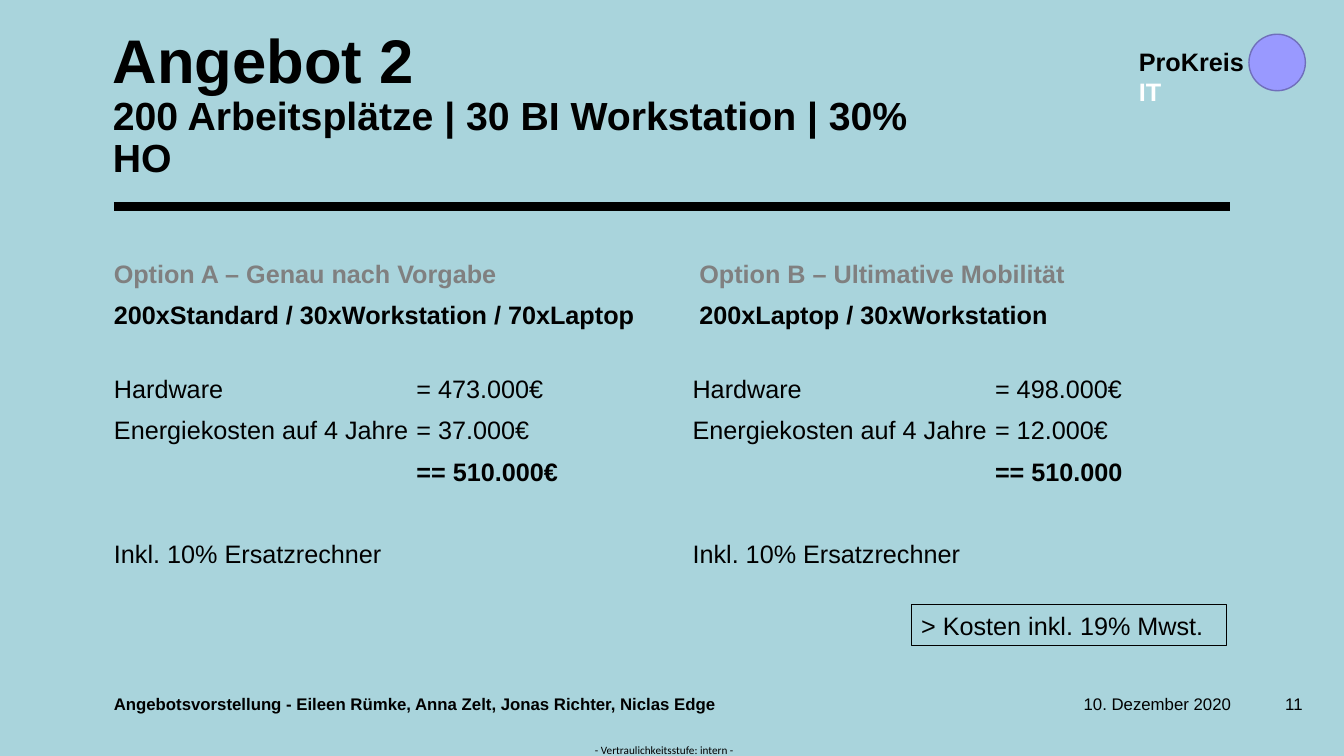
"""Builds the slide that compares two options of an offer."""
from lxml.etree import SubElement
from pptx import Presentation
from pptx.dml.color import RGBColor
from pptx.enum.shapes import MSO_CONNECTOR, MSO_SHAPE
from pptx.enum.text import MSO_ANCHOR as Anchor, PP_ALIGN as Align
from pptx.oxml.ns import qn
from pptx.util import Inches, Pt

WIDTH, HEIGHT = Inches(13.33), Inches(7.5)
BLACK, GREY, WHITE = "000000", "808080", "FFFFFF"
FOOTER_ROW, FOOTER_HEIGHT = 91.73, 2.67
OPTIONS = [
    (7.73, 8.48, "Option A – Genau nach Vorgabe",
     "200xStandard / 30xWorkstation / 70xLaptop", "473.000€", "37.000€", "510.000€"),
    (51.3, 51.53, "Option B – Ultimative Mobilität",
     "200xLaptop / 30xWorkstation", "498.000€", "12.000€", "510.000"),
]


def color(value):
    """Return the colour of a hex string."""
    return RGBColor.from_string(value)


def across(share):
    """Return a percentage of the slide's width."""
    return round(WIDTH * share / 100)


def down(share):
    """Return a percentage of the slide's height."""
    return round(HEIGHT * share / 100)


def area(left, top, width, height):
    """Return a rectangle given in percent of the slide."""
    return across(left), down(top), across(width), down(height)


def set_font(font, size, value=BLACK, bold=False, name="Arial"):
    """Set the look of a font."""
    font.name, font.size, font.bold = name, Pt(size), bold
    font.color.rgb = color(value)


def set_frame(frame, margins=(0.1, 0.05), anchor=Anchor.TOP):
    """Set wrapping, insets and anchor of a text frame."""
    frame.word_wrap = True
    frame.vertical_anchor = anchor
    frame.margin_left = frame.margin_right = Inches(margins[0])
    frame.margin_top = frame.margin_bottom = Inches(margins[1])
    return frame


def add_frame(slide, place, **settings):
    """Add a text box and return its frame."""
    return set_frame(slide.shapes.add_textbox(*area(*place)).text_frame, **settings)


def write(paragraph, text, size, align=Align.LEFT, **look):
    """Fill a paragraph that has one look."""
    paragraph.text = text
    paragraph.alignment = align
    set_font(paragraph.font, size, **look)


def write_broken(paragraph, lines):
    """Fill a bold paragraph with lines of differing size and colour."""
    for index, (text, size, value) in enumerate(lines):
        if index:
            paragraph.add_line_break()
        run = paragraph.add_run()
        run.text = text
        set_font(run.font, size, value, bold=True)


def add_list(slide, place, rows, **settings):
    """Add a text box of rows, each with text, colour, weight and space before."""
    frame = add_frame(slide, place, **settings)
    for index, (text, value, bold, space) in enumerate(rows):
        paragraph = frame.paragraphs[0] if index == 0 else frame.add_paragraph()
        write(paragraph, text, 18, value=value, bold=bold)
        paragraph.line_spacing = 0.9
        paragraph.space_before = Pt(space)
    return frame


def add_tab_stop(paragraph, position):
    """Add a left tab stop to a paragraph."""
    properties = paragraph._p.get_or_add_pPr()
    tabs = SubElement(properties, qn("a:tabLst"))
    SubElement(tabs, qn("a:tab"), pos=str(position), algn="l")
    properties.insert_element_before(tabs, "a:defRPr", "a:extLst")


def add_option(slide, heading_left, costs_left, heading, scope, hardware, energy, total):
    """Add the heading and the costs of one option."""
    add_list(slide, (heading_left, 34, 40.73, 9.47),
             [(heading, GREY, True, 0), (scope, BLACK, True, 10)])
    frame = add_list(slide, (costs_left, 49.87, 39.9, 27.4), [
        (f"Hardware\t= {hardware}", BLACK, False, 0),
        (f"Energiekosten auf 4 Jahre\t= {energy}", BLACK, False, 10),
        (f"\t== {total}", BLACK, True, 10),
        ("Inkl. 10% Ersatzrechner", BLACK, False, 39.5),
    ], margins=(0, 0))
    for paragraph in frame.paragraphs[:3]:
        add_tab_stop(paragraph, Inches(3))


def add_rule(slide, left, right, row):
    """Add the thick line under the title."""
    line = slide.shapes.add_connector(
        MSO_CONNECTOR.STRAIGHT, across(left), down(row), across(right), down(row))
    line.line.color.rgb = color(BLACK)
    line.line.width = Pt(6)
    SubElement(line._element.spPr, qn("a:effectLst"))


def add_outlined(slide, kind, place, outline, width, fill=None):
    """Add a preset shape with an outline."""
    shape = slide.shapes.add_shape(kind, *area(*place))
    shape.shadow.inherit = False
    shape.line.color.rgb = color(outline)
    shape.line.width = Pt(width)
    if fill:
        shape.fill.solid()
        shape.fill.fore_color.rgb = color(fill)
    else:
        shape.fill.background()
    return shape


def add_title(slide):
    """Add the title and its rule."""
    add_rule(slide, 8.48, 91.5, 27.33)
    frame = add_frame(slide, (8.4, 14.53, 64.05, 9.47),
                      margins=(0, 0), anchor=Anchor.BOTTOM)
    write_broken(frame.paragraphs[0], [
        ("Angebot 2", 44, BLACK),
        ("200 Arbeitsplätze | 30 BI Workstation | 30% HO", 28, BLACK)])
    frame.paragraphs[0].line_spacing = 0.9


def add_sender(slide):
    """Add the circle and the name beside it."""
    add_outlined(slide, MSO_SHAPE.OVAL, (92.93, 4.53, 4.2, 7.47), "706FBB", 1, "9999FF")
    frame = add_frame(slide, (84, 5.47, 11.78, 5.33))
    write_broken(frame.paragraphs[0], [("ProKreis", 18, BLACK), ("IT", 18, WHITE)])


def add_footer(slide):
    """Add authors, date, page number and confidentiality level."""
    authors = "Angebotsvorstellung - Eileen Rümke, Anna Zelt, Jonas Richter, Niclas Edge"
    for left, width, text, margin, bold, align in [
        (7.73, 72.3, authors, 0.1, True, Align.LEFT),
        (80.63, 12.53, "10. Dezember 2020", 0, False, Align.LEFT),
        (94.28, 3.38, "11", 0.1, False, Align.RIGHT),
    ]:
        frame = add_frame(slide, (left, FOOTER_ROW, width, FOOTER_HEIGHT),
                          margins=(margin, 0.05), anchor=Anchor.MIDDLE)
        write(frame.paragraphs[0], text, 12, align, bold=bold)
    level = add_frame(slide, (44.03, 98.27, 10.8, 1.73), margins=(0, 0))
    write(level.paragraphs[0], "- Vertraulichkeitsstufe: intern -", 8,
          Align.CENTER, name="Calibri")


def add_tax_note(slide):
    """Add the framed note on value added tax."""
    note = add_outlined(slide, MSO_SHAPE.RECTANGLE, (67.8, 80, 23.48, 5.33), BLACK, 0.75)
    frame = set_frame(note.text_frame, anchor=Anchor.MIDDLE)
    write(frame.paragraphs[0], "> Kosten inkl. 19% Mwst.", 18)


def main():
    """Build and save the presentation."""
    presentation = Presentation()
    presentation.slide_width, presentation.slide_height = WIDTH, HEIGHT
    slide = presentation.slides.add_slide(presentation.slide_layouts[6])
    slide.background.fill.solid()
    slide.background.fill.fore_color.rgb = color("A9D4DC")
    add_title(slide)
    for option in OPTIONS:
        add_option(slide, *option)
    add_footer(slide)
    add_sender(slide)
    add_tax_note(slide)
    presentation.save("out.pptx")


if __name__ == "__main__":
    main()
